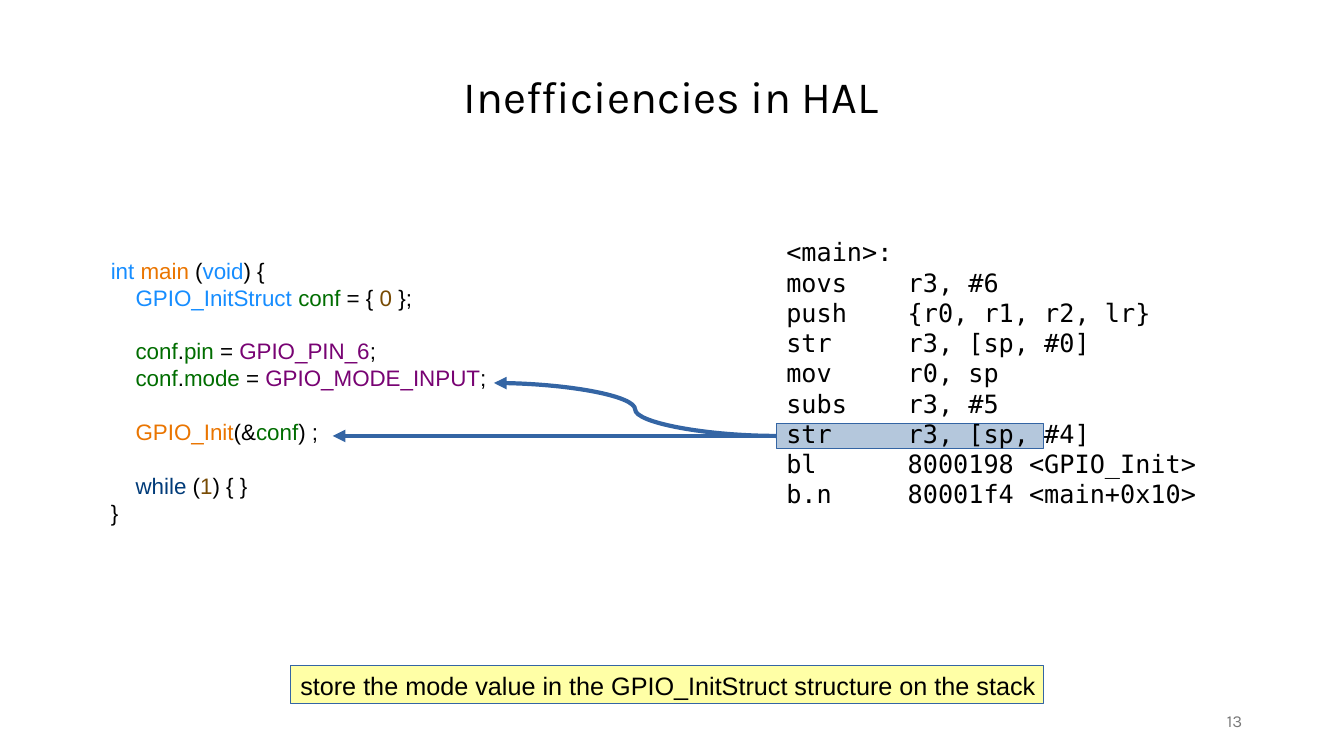
from dataclasses import dataclass

from lxml.etree import SubElement
from pptx import Presentation
from pptx.dml.color import RGBColor as Rgb
from pptx.enum.shapes import MSO_CONNECTOR as Connector, MSO_SHAPE as Preset
from pptx.enum.text import MSO_ANCHOR as Anchor, PP_ALIGN as Align
from pptx.oxml.ns import qn
from pptx.util import Inches, Pt


@dataclass(frozen=True)
class Theme:
    ink: str = "000000"
    accent: str = "3465A4"
    highlight: str = "B4C7DC"
    note: str = "FFFFA6"
    muted: str = "787878"
    type_name: str = "168DFF"
    function: str = "EA7500"
    variable: str = "006D00"
    number: str = "784B04"
    constant: str = "780373"
    keyword: str = "003B79"
    display: str = "Karla"
    body: str = "Arial"
    mono: str = "DejaVu Sans Mono"
    title_size: int = 32
    text_size: int = 18
    code_size: int = 16
    number_size: int = 12
    arrow_width: int = 3


class SlideBuilder:
    columns, rows = 133.3, 75

    def __init__(self, deck, theme):
        self.theme = theme
        self.column = deck.slide_width / self.columns
        self.row = deck.slide_height / self.rows
        self.slide = deck.slides.add_slide(deck.slide_layouts[6])

    def place(self, *cells):
        units = (self.column, self.row) * 2
        return [round(cell * unit) for cell, unit in zip(cells, units)]

    def panel(self, area, fill):
        box = self.slide.shapes.add_shape(Preset.RECTANGLE, *self.place(*area))
        box.shadow.inherit = False
        box.fill.solid()
        box.fill.fore_color.rgb = Rgb.from_string(fill)
        box.line.color.rgb = Rgb.from_string(self.theme.accent)
        box.line.width = Pt(0)
        return box

    def text(self, area, lines, font, size, align=Align.LEFT,
             anchor=Anchor.TOP, spacing=None, gaps=(), gap=0):
        frame = self.slide.shapes.add_textbox(*self.place(*area)).text_frame
        frame.word_wrap = True
        frame.vertical_anchor = anchor
        for index, line in enumerate(lines):
            paragraph = frame.paragraphs[0] if index == 0 else frame.add_paragraph()
            paragraph.alignment = align
            if spacing:
                paragraph.line_spacing = spacing
            if index in gaps:
                paragraph.space_before = Pt(gap)
            for words, color in line:
                run = paragraph.add_run()
                run.text = words
                run.font.name = font
                run.font.size = Pt(size)
                run.font.color.rgb = Rgb.from_string(color)

    def arrow(self, kind, start, end, source=None):
        arrow = self.slide.shapes.add_connector(kind, *self.place(*start, *end))
        if source is not None:
            arrow.begin_connect(source, 1)
        arrow.line.color.rgb = Rgb.from_string(self.theme.accent)
        arrow.line.width = Pt(self.theme.arrow_width)
        SubElement(arrow.line._get_or_add_ln(), qn("a:tailEnd"), type="triangle")
        SubElement(arrow._element.spPr, qn("a:effectLst"))


def c_code(t):
    indent = ("    ", t.ink)
    conf = ("conf", t.variable)
    dot, equals, end = (".", t.ink), (" = ", t.ink), (";", t.ink)
    return [
        [("int ", t.type_name), ("main", t.function), (" (", t.ink),
         ("void", t.type_name), (") {", t.ink)],
        [indent, ("GPIO_InitStruct ", t.type_name), conf, (" = { ", t.ink),
         ("0 ", t.number), ("};", t.ink)],
        [indent, conf, dot, ("pin", t.variable), equals,
         ("GPIO_PIN_6", t.constant), end],
        [indent, conf, dot, ("mode", t.variable), equals,
         ("GPIO_MODE_INPUT", t.constant), end],
        [indent, ("GPIO_Init", t.function), ("(&", t.ink), conf, (") ;", t.ink)],
        [indent, ("while", t.keyword), (" (", t.ink), ("1", t.number),
         (") { }", t.ink)],
        [("}", t.ink)],
    ]


ASSEMBLY = """<main>:
movs    r3, #6
push    {r0, r1, r2, lr}
str     r3, [sp, #0]
mov     r0, sp
subs    r3, #5
str     r3, [sp, #4]
bl      8000198 <GPIO_Init>
b.n     80001f4 <main+0x10>"""


def main():
    deck = Presentation()
    deck.slide_width, deck.slide_height = Inches(13.33), Inches(7.5)
    theme = Theme()
    page = SlideBuilder(deck, theme)

    page.panel((28.8, 66, 74.7, 3.8), theme.note)
    store_instruction = page.panel((77, 42, 26.5, 2.5), theme.highlight)
    page.text((21.1, 6.9, 91, 11.1), [[("Inefficiencies in HAL", theme.ink)]],
              theme.display, theme.title_size, Align.CENTER, spacing=0.9)
    page.text((10, 25, 52.5, 27.5), c_code(theme), theme.body, theme.code_size,
              gaps=(2, 4, 5), gap=19.2)
    page.text((77, 23, 47.5, 33.7),
              [[(line, theme.ink)] for line in ASSEMBLY.splitlines()],
              theme.mono, theme.text_size)

    arrow_start = (77, 43.25)
    page.arrow(Connector.CURVE, arrow_start, (49, 38))
    page.arrow(Connector.STRAIGHT, arrow_start, (33, 43.25), store_instruction)

    page.text((28.8, 66, 75.8, 4),
              [[("store the mode value in the GPIO_InitStruct structure on the stack",
                 theme.ink)]], theme.body, theme.text_size)
    page.text((94.2, 69.5, 30, 4), [[("13", theme.muted)]], theme.display,
              theme.number_size, Align.RIGHT, Anchor.MIDDLE)

    deck.save("out.pptx")


if __name__ == "__main__":
    main()
